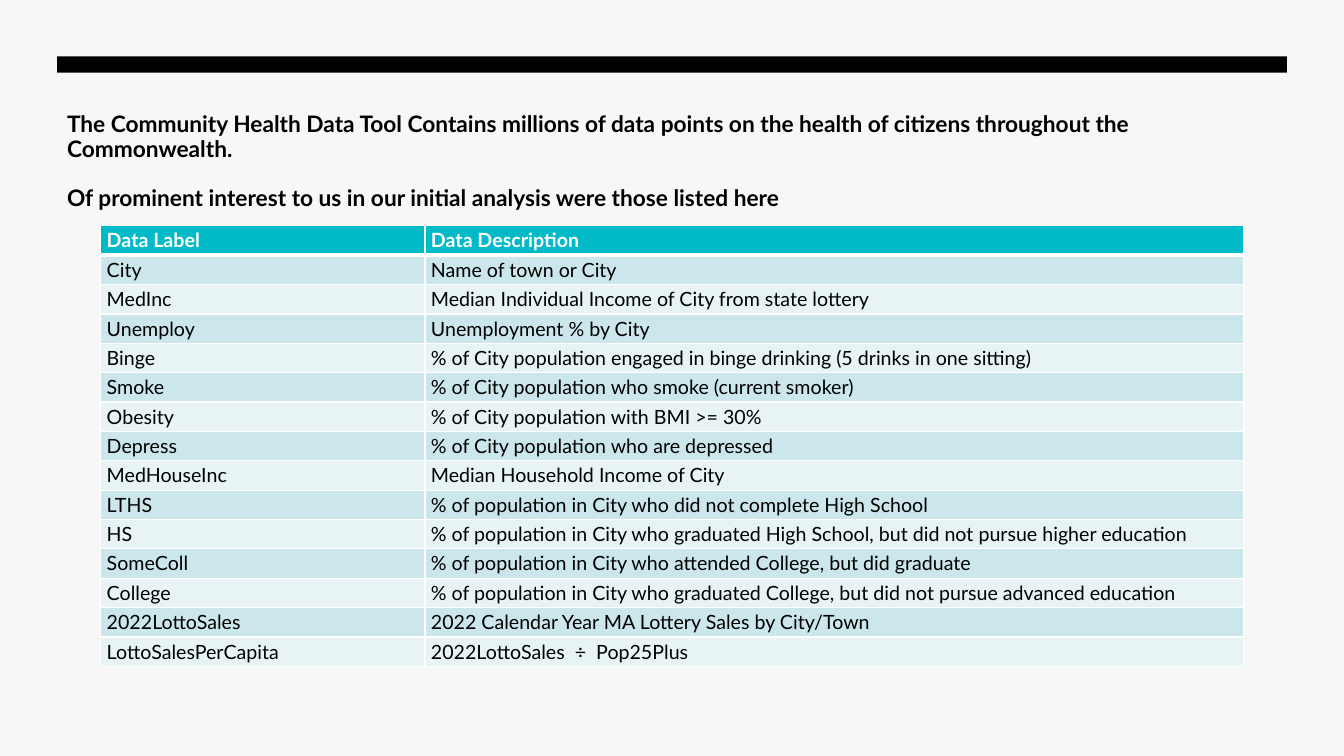
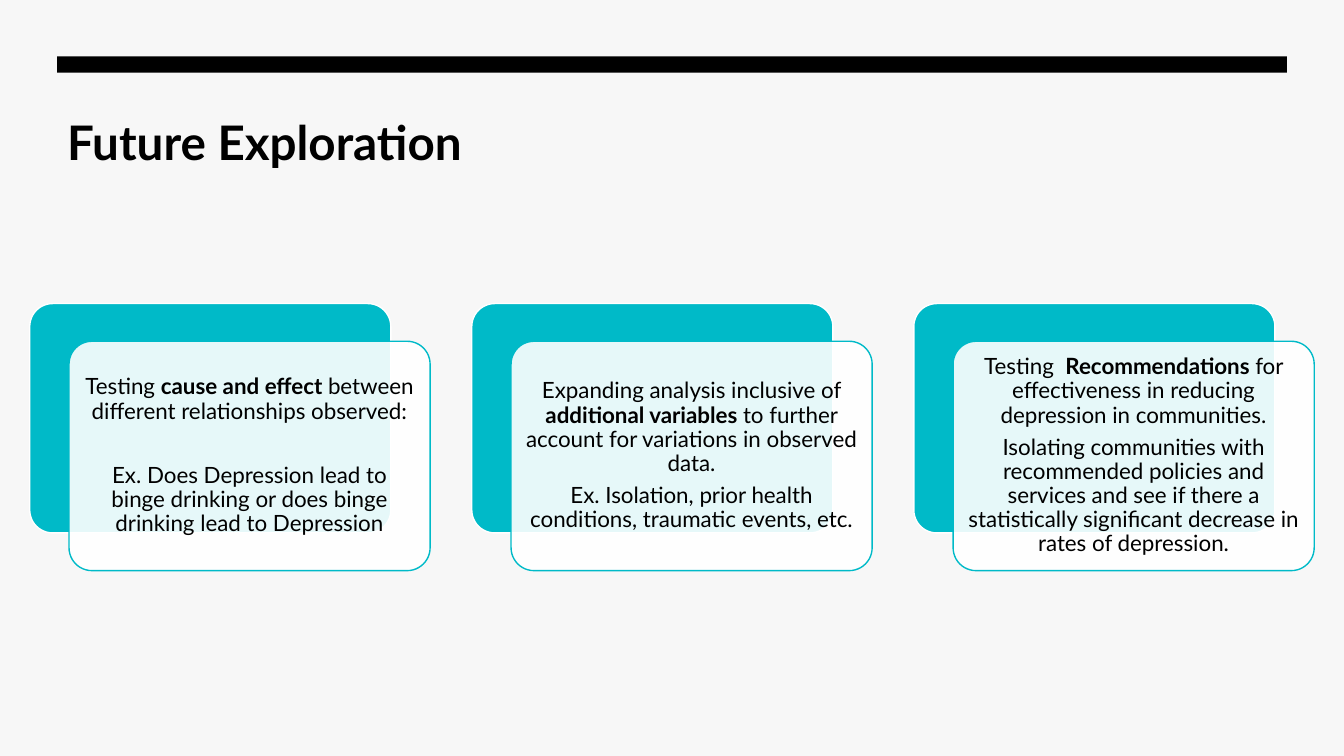
import pptx
import pptx.dml.color
import pptx.enum.shapes
import pptx.enum.text
import pptx.oxml
import pptx.oxml.ns
import pptx.util
from lxml import etree

Cm, Pt = pptx.util.Cm, pptx.util.Pt
ALIGN = pptx.enum.text.PP_ALIGN
ANCHOR = pptx.enum.text.MSO_ANCHOR
SHAPE = pptx.enum.shapes.MSO_SHAPE

# Shared look
COLORS = {
    "background": "F7F7F7",
    "black": "000000",
    "white": "FFFFFF",
    "teal": "00BAC8",
    "row_dark": "CCE7EB",
    "row_light": "E7F3F5",
}
FONT = "Lato"
SLIDE_WIDTH, SLIDE_HEIGHT = 33.87, 19.05
MARGIN = 1.44
CONTENT_WIDTH = SLIDE_WIDTH - 2 * MARGIN

# Content: a paragraph is a list of (text, bold) runs
DATA_TITLE = [
    [("The Community Health Data Tool Contains millions of data points on the "
      "health of citizens throughout the Commonwealth.", True)],
    [("Of prominent interest to us in our initial analysis were those listed here", True)],
]
DATA_ROWS = [
    ("Data Label", "Data Description"),
    ("City", "Name of town or City"),
    ("MedInc", "Median Individual Income of City from state lottery"),
    ("Unemploy", "Unemployment % by City"),
    ("Binge", "% of City population engaged in binge drinking (5 drinks in one sitting)"),
    ("Smoke", "% of City population who smoke (current smoker)"),
    ("Obesity", "% of City population with BMI >= 30%"),
    ("Depress", "% of City population who are depressed"),
    ("MedHouseInc", "Median Household Income of City"),
    ("LTHS", "% of population in City who did not complete High School"),
    ("HS", "% of population in City who graduated High School, "
           "but did not pursue higher education"),
    ("SomeColl", "% of population in City who attended College, but did graduate"),
    ("College", "% of population in City who graduated College, "
                "but did not pursue advanced education"),
    ("2022LottoSales", "2022 Calendar Year MA Lottery Sales by City/Town"),
    ("LottoSalesPerCapita", "2022LottoSales  ÷  Pop25Plus"),
]
FUTURE_TITLE = [[("Future Exploration", True)]]
# Each card: gap between its paragraphs in points, paragraphs
CARDS = [
    (28.5, [
        [("Testing ", False), ("cause and effect ", True),
         ("between different relationships observed:", False)],
        [("Ex. Does Depression lead to binge drinking or does binge drinking "
          "lead to Depression", False)],
    ]),
    (5.6, [
        [("Expanding analysis inclusive of ", False), ("additional variables ", True),
         ("to further account for variations in observed data.", False)],
        [("Ex. Isolation, prior health conditions, traumatic events, etc.", False)],
    ]),
    (5.6, [
        [("Testing  ", False), ("Recommendations ", True),
         ("for effectiveness in reducing depression in communities.", False)],
        [("Isolating communities with recommended policies and services and see if "
          "there a statistically significant decrease in rates of depression.", False)],
    ]),
]


def rgb(name):
    return pptx.dml.color.RGBColor.from_string(COLORS[name])


def write_text(frame, paragraphs, size, color="black", align=ALIGN.LEFT,
               anchor=ANCHOR.TOP, line_spacing=None, gap=0, margins=(0.25, 0.13)):
    frame.word_wrap = True
    frame.vertical_anchor = anchor
    frame.margin_left = frame.margin_right = Cm(margins[0])
    frame.margin_top = frame.margin_bottom = Cm(margins[1])
    for index, runs in enumerate(paragraphs):
        paragraph = frame.add_paragraph() if index else frame.paragraphs[0]
        paragraph.alignment = align
        if line_spacing:
            paragraph.line_spacing = line_spacing
        if index:
            paragraph.space_before = Pt(gap)
        for text, bold in runs:
            run = paragraph.add_run()
            run.text = text
            run.font.name, run.font.size, run.font.bold = FONT, Pt(size), bold
            run.font.color.rgb = rgb(color)


def add_box(slide, preset, left, top, width, height, fill, line=None):
    shape = slide.shapes.add_shape(preset, Cm(left), Cm(top), Cm(width), Cm(height))
    shape.shadow.inherit = False
    shape.fill.solid()
    shape.fill.fore_color.rgb = rgb(fill)
    if line:
        shape.line.color.rgb = rgb(line)
        shape.line.width = Pt(1)
    else:
        shape.line.fill.background()
    return shape


def set_opacity(shape, percent):
    color = shape._element.spPr.find(".//" + pptx.oxml.ns.qn("a:srgbClr"))
    etree.SubElement(color, pptx.oxml.ns.qn("a:alpha"), val=str(percent * 1000))


def set_borders(cell, color, **widths):
    properties = cell._tc.get_or_add_tcPr()
    for side in "LRTB":
        properties.append(pptx.oxml.parse_xml(
            f'<a:ln{side} {pptx.oxml.ns.nsdecls("a")} w="{Pt(widths.get(side, 1))}">'
            f'<a:solidFill><a:srgbClr val="{COLORS[color]}"/></a:solidFill></a:ln{side}>'))


def start_slide(presentation, title, size, **text_format):
    slide = presentation.slides.add_slide(presentation.slide_layouts[6])
    slide.background.fill.solid()
    slide.background.fill.fore_color.rgb = rgb("background")
    title_box = slide.shapes.add_textbox(Cm(MARGIN), Cm(2.72), Cm(CONTENT_WIDTH), Cm(2.9))
    write_text(title_box.text_frame, title, size, **text_format)
    add_box(slide, SHAPE.RECTANGLE, MARGIN, 1.42, CONTENT_WIDTH, 0.41, "black")
    return slide


def add_data_table(slide):
    column_widths, row_height = (8.17, 20.63), 0.74
    table = slide.shapes.add_table(
        len(DATA_ROWS), len(column_widths), Cm(2.54), Cm(5.69),
        Cm(sum(column_widths)), Cm(row_height * len(DATA_ROWS))).table
    for column, width in zip(table.columns, column_widths):
        column.width = Cm(width)
    for row_index, values in enumerate(DATA_ROWS):
        table.rows[row_index].height = Cm(row_height)
        header = row_index == 0
        fill = "teal" if header else ("row_light", "row_dark")[row_index % 2]
        for column_index, value in enumerate(values):
            cell = table.cell(row_index, column_index)
            set_borders(cell, "white", B=3 if header else 1, T=3 if row_index == 1 else 1)
            cell.fill.solid()
            cell.fill.fore_color.rgb = rgb(fill)
            write_text(cell.text_frame, [[(value, header)]], 14,
                       color="white" if header else "black")
            cell.margin_left = cell.margin_right = Cm(0.15)
            cell.margin_top = cell.margin_bottom = Cm(0.07)


def add_cards(slide):
    left, top, width, height = 0.75, 7.65, 9.1, 5.78
    step, offset = 11.14, 0.99
    for index, (gap, paragraphs) in enumerate(CARDS):
        card_left = left + index * step
        back = add_box(slide, SHAPE.ROUNDED_RECTANGLE, card_left, top,
                       width, height, "teal", "white")
        front = add_box(slide, SHAPE.ROUNDED_RECTANGLE, card_left + offset, top + offset - 0.04,
                        width, height, "white", "teal")
        back.adjustments[0] = front.adjustments[0] = 0.1
        set_opacity(front, 90)
        write_text(front.text_frame, paragraphs, 16, align=ALIGN.CENTER,
                   anchor=ANCHOR.MIDDLE, line_spacing=0.9, gap=gap, margins=(0.17, 0.17))


def main():
    presentation = pptx.Presentation()
    presentation.slide_width = Cm(SLIDE_WIDTH)
    presentation.slide_height = Cm(SLIDE_HEIGHT)

    # Data overview
    add_data_table(start_slide(presentation, DATA_TITLE, 16.2, line_spacing=0.9, gap=17.5))

    # Next steps
    add_cards(start_slide(presentation, FUTURE_TITLE, 34))

    presentation.save("out.pptx")


if __name__ == "__main__":
    main()
